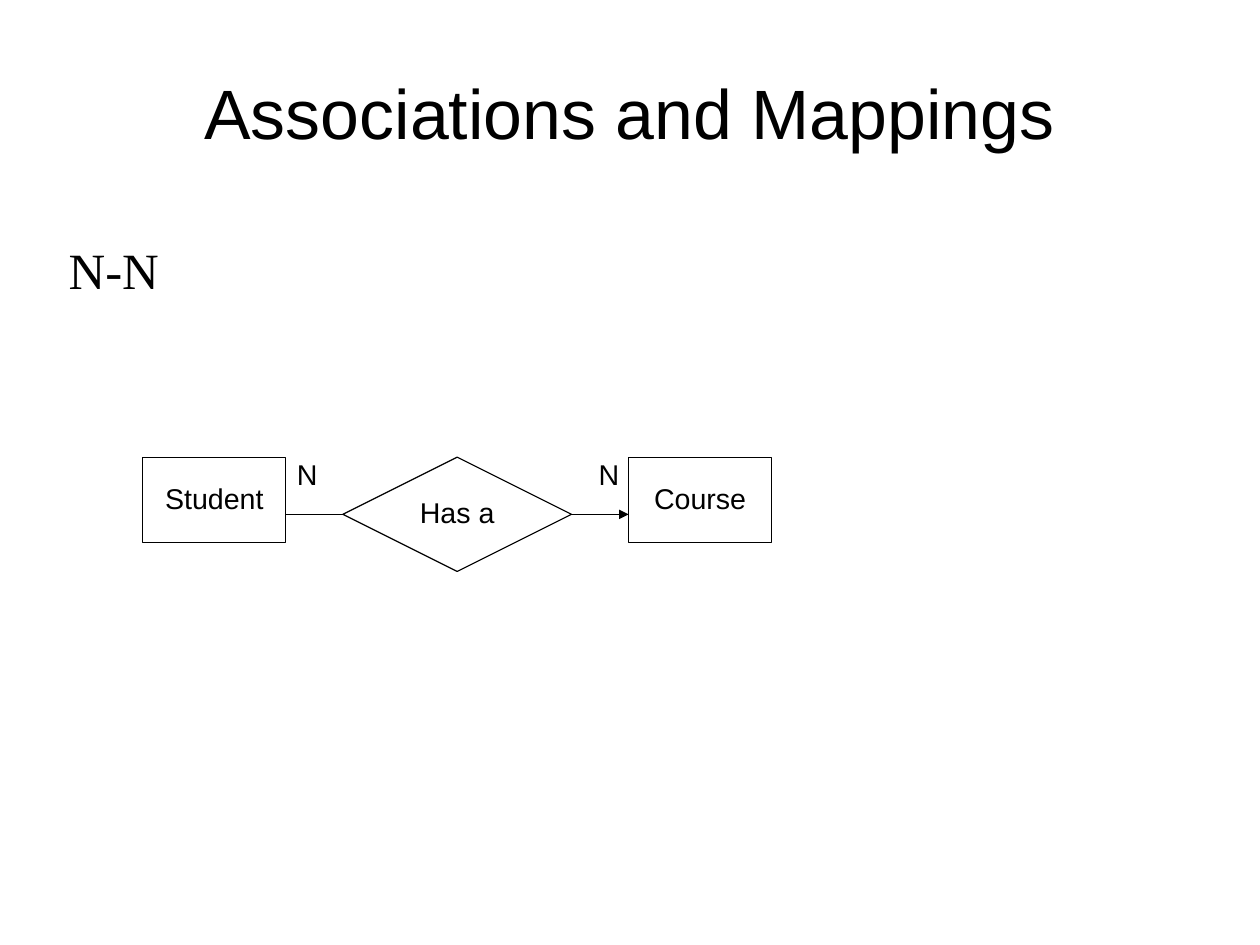
"""Build a slide that shows an N-N mapping as an entity diagram."""
from lxml.etree import SubElement
from pptx import Presentation
from pptx.dml.color import RGBColor
from pptx.enum.shapes import MSO_CONNECTOR, MSO_SHAPE
from pptx.enum.text import MSO_ANCHOR, MSO_AUTO_SIZE, PP_ALIGN
from pptx.oxml.ns import qn
from pptx.util import Pt

BLACK = RGBColor(0, 0, 0)
WHITE = RGBColor(255, 255, 255)

WIDE, HIGH = 793.7, 595.28
TITLE = "Associations and Mappings"
BODY = "N-N"
TOP, AXIS = 288, 324
NODES = [
    ("Student", MSO_SHAPE.RECTANGLE, 90, 90, 54),
    ("Course", MSO_SHAPE.RECTANGLE, 396, 90, 54),
    ("Has a", MSO_SHAPE.DIAMOND, 216, 144, 72),
]
ENDS = [("N", 180), ("N", 370)]


def write(shape, text, size=18, face="Arial", align=PP_ALIGN.CENTER,
          anchor=MSO_ANCHOR.MIDDLE, inset=(7.2, 3.6), wrap=True, pitch=0.93):
    """Put one formatted paragraph into a shape."""
    frame = shape.text_frame
    frame.auto_size = MSO_AUTO_SIZE.NONE
    frame.word_wrap = wrap
    frame.vertical_anchor = anchor
    frame.margin_left = frame.margin_right = Pt(inset[0])
    frame.margin_top = frame.margin_bottom = Pt(inset[1])
    para = frame.paragraphs[0]
    para.alignment = align
    para.line_spacing = pitch
    para.space_before = Pt(0)
    run = para.add_run()
    run.text = text
    run.font.size = Pt(size)
    run.font.name = face
    run.font.color.rgb = BLACK


def place(shape, left, top, width, height):
    """Move and size a placeholder."""
    shape.left, shape.top = Pt(left), Pt(top)
    shape.width, shape.height = Pt(width), Pt(height)


def main():
    """Draw the slide and save it."""
    deck = Presentation()
    deck.slide_width, deck.slide_height = Pt(WIDE), Pt(HIGH)
    slide = deck.slides.add_slide(deck.slide_layouts[1])
    shapes = slide.shapes

    title, body = slide.placeholders
    place(title, 0, 23.4, WIDE, 99)
    write(title, TITLE, size=44, inset=(0, 0))

    place(body, 43.2, 152, 712.8, 406)
    props = body.text_frame.paragraphs[0]._p.get_or_add_pPr()
    props.set("marL", "0")
    props.set("indent", "0")
    SubElement(props, qn("a:buNone"))
    write(body, BODY, size=32, face="Times New Roman", align=PP_ALIGN.LEFT,
          anchor=MSO_ANCHOR.TOP, inset=(0, 2))

    link = shapes.add_connector(MSO_CONNECTOR.STRAIGHT,
                                Pt(180), Pt(AXIS), Pt(396), Pt(AXIS))
    link.line.color.rgb = BLACK
    link.line.width = Pt(0.75)
    SubElement(link.line._get_or_add_ln(), qn("a:tailEnd"), type="triangle")
    SubElement(link._element.spPr, qn("a:effectLst"))

    for text, kind, left, width, height in NODES:
        node = shapes.add_shape(kind, Pt(left), Pt(TOP), Pt(width), Pt(height))
        node.shadow.inherit = False
        node.fill.solid()
        node.fill.fore_color.rgb = WHITE
        node.line.color.rgb = BLACK
        node.line.width = Pt(0.75)
        write(node, text, wrap=False)

    for text, left in ENDS:
        label = shapes.add_textbox(Pt(left), Pt(TOP), Pt(30), Pt(27))
        write(label, text, align=PP_ALIGN.LEFT, anchor=MSO_ANCHOR.TOP,
              pitch=0.83)

    deck.save("out.pptx")


if __name__ == "__main__":
    main()
